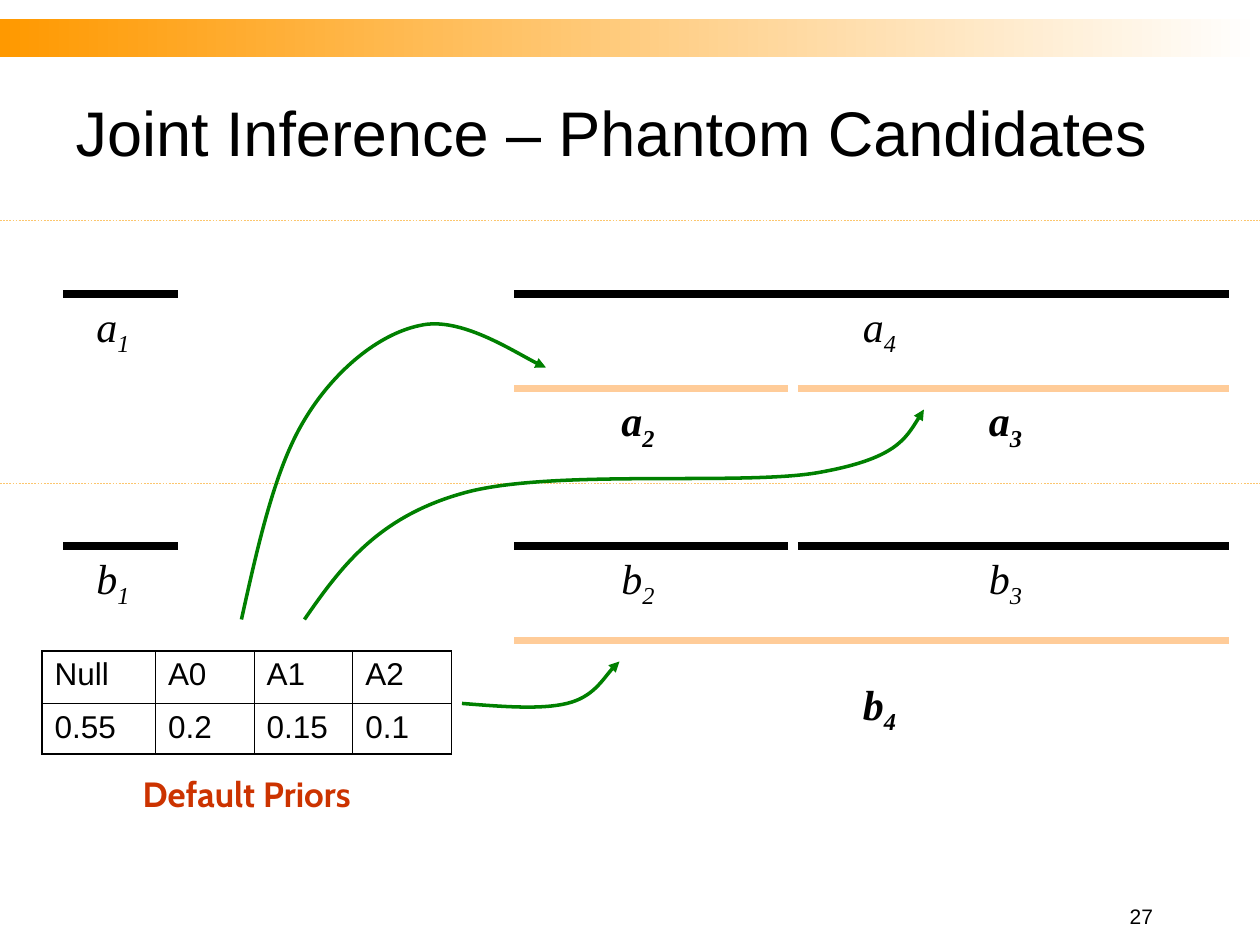
"""Build the slide on joint inference with phantom candidates."""
from lxml.etree import SubElement
from pptx import Presentation
from pptx.dml.color import RGBColor
from pptx.enum.dml import MSO_LINE
from pptx.enum.shapes import MSO_CONNECTOR, MSO_SHAPE
from pptx.enum.text import MSO_ANCHOR, MSO_AUTO_SIZE, PP_ALIGN
from pptx.oxml.ns import qn
from pptx.util import Pt

PX = 7620
BLACK = RGBColor(0, 0, 0)
WHITE = RGBColor(255, 255, 255)
ORANGE = RGBColor(0xFF, 0x99, 0x00)
PEACH = RGBColor(0xFF, 0xCC, 0x99)
GOLD = RGBColor(0xFC, 0xC6, 0x6E)
GREEN = RGBColor(0, 0x80, 0)
RED = RGBColor(0xCC, 0x33, 0)

TITLE = "Joint Inference – Phantom Candidates"
SPANS = {"1": (60, 170, 80), "2": (490, 750, 580),
         "3": (760, 1170, 930), "4": (490, 1170, 810)}
BARS = [("a", "1", 280, 0, False), ("a", "4", 280, 0, False),
        ("a", "2", 370, 0, True), ("a", "3", 370, 0, True),
        ("b", "1", 520, 0, False), ("b", "2", 520, 0, False),
        ("b", "3", 520, 0, False), ("b", "4", 610, 30, True)]
RULES = [210, 460]
PRIORS = [["Null", "A0", "A1", "A2"], ["0.55", "0.2", "0.15", "0.1"]]
WIDTHS = [108, 94, 94, 94]
HEIGHTS = [50, 48]
CURVES = [
    [(230, 590), (246, 518), (262, 446), (290, 400), (318, 353),
     (361, 318), (400, 310), (438, 301), (502, 343), (520, 350)],
    [(290, 590), (324, 541), (359, 493), (440, 470), (522, 446),
     (707, 463), (780, 450), (853, 437), (866, 413), (880, 390)],
    [(440, 670), (478, 673), (515, 676), (540, 670), (565, 664),
     (580, 638), (590, 630)],
]


def emu(*nums):
    return [n * PX for n in nums]


def style(run, color=BLACK, **form):
    for key, val in {"name": "Arial", **form}.items():
        setattr(run.font, key, val)
    run.font.color.rgb = color


def label(slide, box, words, align=PP_ALIGN.LEFT, before=0,
          anchor=MSO_ANCHOR.TOP, **form):
    frame = slide.shapes.add_textbox(*emu(*box)).text_frame
    frame.word_wrap, frame.vertical_anchor = True, anchor
    para = frame.paragraphs[0]
    para.alignment, para.space_before = align, Pt(before)
    for word in words:
        run = para.add_run()
        run.text = word
        style(run, **form)
    return para


def rule(slide, left, right, top, color, width, dash=None):
    line = slide.shapes.add_connector(
        MSO_CONNECTOR.STRAIGHT, *emu(left, top, right, top))
    line.line.color.rgb, line.line.width = color, Pt(width)
    if dash:
        line.line.dash_style = dash
    SubElement(line._element.spPr, qn("a:effectLst"))


def curve(slide, points):
    pen = slide.shapes.build_freeform(*points[0], scale=PX)
    pen.add_line_segments(points[1:], close=False)
    shape = pen.convert_to_shape()
    shape.shadow.inherit = False
    shape.fill.background()
    shape.line.color.rgb, shape.line.width = GREEN, Pt(2)
    SubElement(shape.line._get_or_add_ln(), qn("a:tailEnd"), type="triangle")
    track = next(shape._element.iter(qn("a:path")))
    steps = track.findall(qn("a:lnTo"))
    for i in range(0, len(steps), 3):
        bend = SubElement(track, qn("a:cubicBezTo"))
        for step in steps[i:i + 3]:
            bend.append(step[0])
            track.remove(step)


def border(cell, sides):
    props = cell._tc.get_or_add_tcPr()
    for i, (side, width) in enumerate(sides.items()):
        edge = props.makeelement(qn("a:" + side), {"w": str(Pt(width))})
        fill = SubElement(edge, qn("a:solidFill"))
        SubElement(fill, qn("a:srgbClr"), val=str(BLACK))
        props.insert(i, edge)


def priors(slide):
    rows, cols = len(PRIORS), len(WIDTHS)
    grid = slide.shapes.add_table(
        rows, cols, *emu(40, 620, sum(WIDTHS), sum(HEIGHTS))).table
    for col, width in zip(grid.columns, WIDTHS):
        col.width = width * PX
    for row, height in zip(grid.rows, HEIGHTS):
        row.height = height * PX
    for r, line in enumerate(PRIORS):
        for c, word in enumerate(line):
            cell = grid.cell(r, c)
            cell.fill.background()
            para = cell.text_frame.paragraphs[0]
            para.space_before = Pt(4.5)
            run = para.add_run()
            run.text = word
            style(run, size=Pt(18), bold=False)
            outer = {"lnL": c == 0, "lnR": c == cols - 1,
                     "lnT": r == 0, "lnB": r == rows - 1}
            border(cell, {k: 1.08 if v else 0.45 for k, v in outer.items()})


def main():
    deck = Presentation()
    deck.slide_width, deck.slide_height = emu(1200, 900)
    slide = deck.slides.add_slide(deck.slide_layouts[5])

    title = slide.shapes.title
    title.left, title.top, title.width, title.height = emu(60, 60, 1080, 130)
    title.text = TITLE
    title.text_frame.auto_size = MSO_AUTO_SIZE.NONE
    title.text_frame.vertical_anchor = MSO_ANCHOR.MIDDLE
    para = title.text_frame.paragraphs[0]
    para.alignment = PP_ALIGN.LEFT
    style(para.runs[0], size=Pt(36))

    band = slide.shapes.add_shape(MSO_SHAPE.RECTANGLE, *emu(0, 18, 1200, 36))
    band.shadow.inherit = False
    band.line.fill.background()
    band.fill.gradient()
    band.fill.gradient_angle = 180
    for stop, color in zip(band.fill.gradient_stops, (WHITE, ORANGE)):
        stop.color.rgb = color

    for name, sub, top, drop, ghost in BARS:
        left, right, start = SPANS[sub]
        rule(slide, left, right, top, PEACH if ghost else BLACK, 4.5)
        para = label(slide, (start, top + drop, 70, 67), [name, sub],
                     before=15, name="Times New Roman", size=Pt(24),
                     bold=ghost, italic=True)
        para.runs[1]._r.get_or_add_rPr().set("baseline", "-25000")
    for top in RULES:
        rule(slide, 0, 1200, top, GOLD, 0.25, MSO_LINE.DASH)

    priors(slide)
    for points in CURVES:
        curve(slide, points)
    label(slide, (60, 730, 350, 53), ["Default Priors"], PP_ALIGN.CENTER,
          12.5, name="Cabin", size=Pt(20), bold=True, color=RED)
    label(slide, (990, 860, 120, 30), ["27"], PP_ALIGN.RIGHT,
          anchor=MSO_ANCHOR.BOTTOM, size=Pt(12))
    deck.save("out.pptx")


if __name__ == "__main__":
    main()
